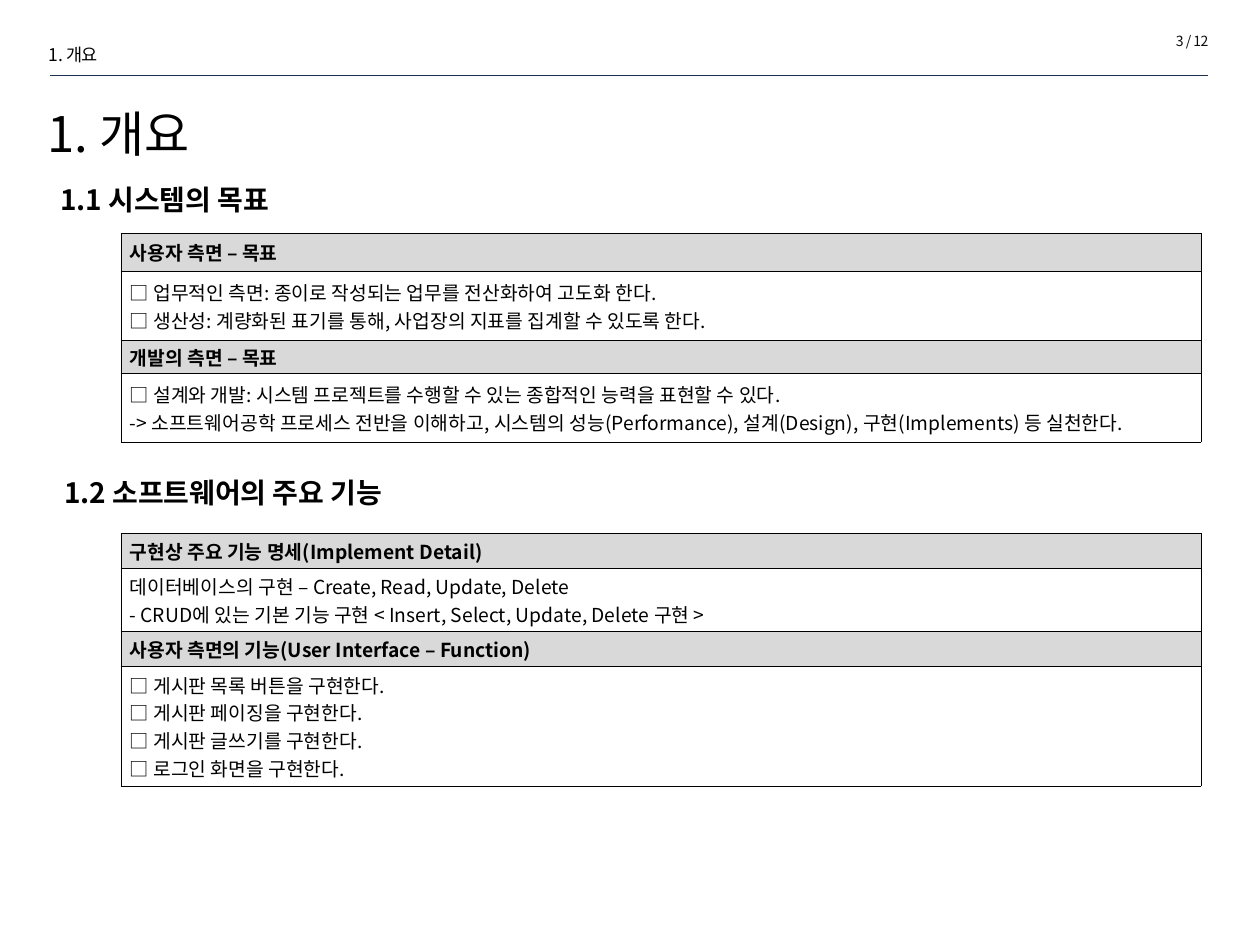
from lxml.etree import SubElement
from pptx import Presentation
from pptx.dml.color import RGBColor
from pptx.enum.shapes import MSO_CONNECTOR as Connector
from pptx.enum.text import MSO_ANCHOR as Anchor, MSO_AUTO_SIZE as AutoSize, PP_ALIGN as Align
from pptx.oxml.ns import qn
from pptx.util import Inches, Pt

COLORS = {"ink": "000000", "page": "0D0D0D", "rule": "1C314E", "band": "D9D9D9"}
FONT = "Noto Sans CJK KR"


class SlideBuilder:
    """Holds the document style and the slide being filled."""

    def __init__(self, slide):
        self.slide = slide

    def color(self, name):
        return RGBColor.from_string(COLORS[name])

    def run(self, paragraph, text, size, bold=False, color="ink", spacing=None):
        run = paragraph.add_run()
        run.text = text
        run.font.size = Pt(size)
        run.font.bold = bold
        run.font.color.rgb = self.color(color)
        run.font.name = FONT
        props = run.font._element
        SubElement(props, qn("a:ea")).set("typeface", FONT)
        if spacing is not None:
            props.set("spc", str(round(spacing * 100)))

    def text(self, box, text, size, align=Align.LEFT, anchor=Anchor.TOP,
             wrap=True, grow=True, leading=None, indent=None, **style):
        frame = self.slide.shapes.add_textbox(*map(Inches, box)).text_frame
        frame.word_wrap = wrap
        frame.auto_size = AutoSize.SHAPE_TO_FIT_TEXT if grow else AutoSize.NONE
        frame.vertical_anchor = anchor
        paragraph = frame.paragraphs[0]
        paragraph.alignment = align
        if leading:
            paragraph.line_spacing = Pt(leading)
        if indent:
            props = paragraph._p.get_or_add_pPr()
            props.set("marL", "0")
            props.set("indent", str(Inches(indent)))
        self.run(paragraph, text, size, **style)

    def heading(self, box, text):
        self.text(box, text, 16, Align.JUSTIFY, Anchor.MIDDLE, wrap=False, indent=0.17, bold=True)

    def rule(self, left, right, y):
        line = self.slide.shapes.add_connector(
            Connector.STRAIGHT, Inches(left), Inches(y), Inches(right), Inches(y))
        line.line.color.rgb = self.color("rule")
        line.line.width = Pt(0.25)
        SubElement(line._element.spPr, qn("a:effectLst"))

    def borders(self, cell):
        props = cell._tc.get_or_add_tcPr()
        for position, side in enumerate(("lnL", "lnR", "lnT", "lnB")):
            border = props.makeelement(qn(f"a:{side}"), {"w": str(Pt(0.28))})
            fill = SubElement(border, qn("a:solidFill"))
            SubElement(fill, qn("a:srgbClr")).set("val", COLORS["ink"])
            props.insert(position, border)

    def table(self, top, heights, sections):
        rows = [row for title, lines in sections for row in ([title], lines)]
        table = self.slide.shapes.add_table(
            len(rows), 1, Inches(0.96), Inches(top), Inches(8.57), Inches(sum(heights))).table
        table.first_row = table.horz_banding = False
        for index, (height, lines) in enumerate(zip(heights, rows)):
            is_title = index % 2 == 0
            table.rows[index].height = Inches(height)
            cell = table.cell(index, 0)
            cell.margin_left = cell.margin_right = Inches(0.07)
            cell.margin_top = cell.margin_bottom = Inches(0.02)
            cell.vertical_anchor = Anchor.MIDDLE
            if is_title:
                cell.fill.solid()
                cell.fill.fore_color.rgb = self.color("band")
            else:
                cell.fill.background()
            self.borders(cell)
            frame = cell.text_frame
            for number, line in enumerate(lines):
                paragraph = frame.add_paragraph() if number else frame.paragraphs[0]
                paragraph.alignment = Align.JUSTIFY
                self.run(paragraph, line, 11, bold=is_title)


GOALS = [
    ("사용자 측면 – 목표", [
        "□ 업무적인 측면: 종이로 작성되는 업무를 전산화하여 고도화 한다.",
        "□ 생산성: 계량화된 표기를 통해, 사업장의 지표를 집계할 수 있도록 한다.",
    ]),
    ("개발의 측면 – 목표", [
        "□ 설계와 개발: 시스템 프로젝트를 수행할 수 있는 종합적인 능력을 표현할 수 있다.",
        "-> 소프트웨어공학 프로세스 전반을 이해하고, 시스템의 성능(Performance), "
        "설계(Design), 구현(Implements) 등 실천한다.",
    ]),
]
FEATURES = [
    ("구현상 주요 기능 명세(Implement Detail)", [
        "데이터베이스의 구현 – Create, Read, Update, Delete",
        "- CRUD에 있는 기본 기능 구현 < Insert, Select, Update, Delete 구현 >",
    ]),
    ("사용자 측면의 기능(User Interface – Function)", [
        "□ 게시판 목록 버튼을 구현한다.",
        "□ 게시판 페이징을 구현한다.",
        "□ 게시판 글쓰기를 구현한다.",
        "□ 로그인 화면을 구현한다.",
    ]),
]


def main():
    deck = Presentation()
    deck.slide_width, deck.slide_height = Inches(10), Inches(7.5)
    page = SlideBuilder(deck.slides.add_slide(deck.slide_layouts[6]))
    chapter = "1. 개요"
    page.rule(0.4, 9.59, 0.6)
    page.text((0.28, 0.77, 8.84, 0.64), chapter, 28, anchor=Anchor.MIDDLE, grow=False, leading=29)
    page.text((7.96, 0.21, 1.73, 0.24), "3 / 12", 8, Align.RIGHT, color="page", spacing=-0.3)
    page.text((0.29, 0.3, 2.7, 0.27), chapter, 10, spacing=-0.3)
    page.heading((0.21, 1.4, 2.11, 0.37), "1.1 시스템의 목표")
    page.table(1.85, (0.3, 0.55, 0.26, 0.55), GOALS)
    page.heading((0.24, 3.72, 3.01, 0.37), "1.2 소프트웨어의 주요 기능")
    page.table(4.23, (0.28, 0.5, 0.28, 0.95), FEATURES)
    deck.save("out.pptx")


if __name__ == "__main__":
    main()
